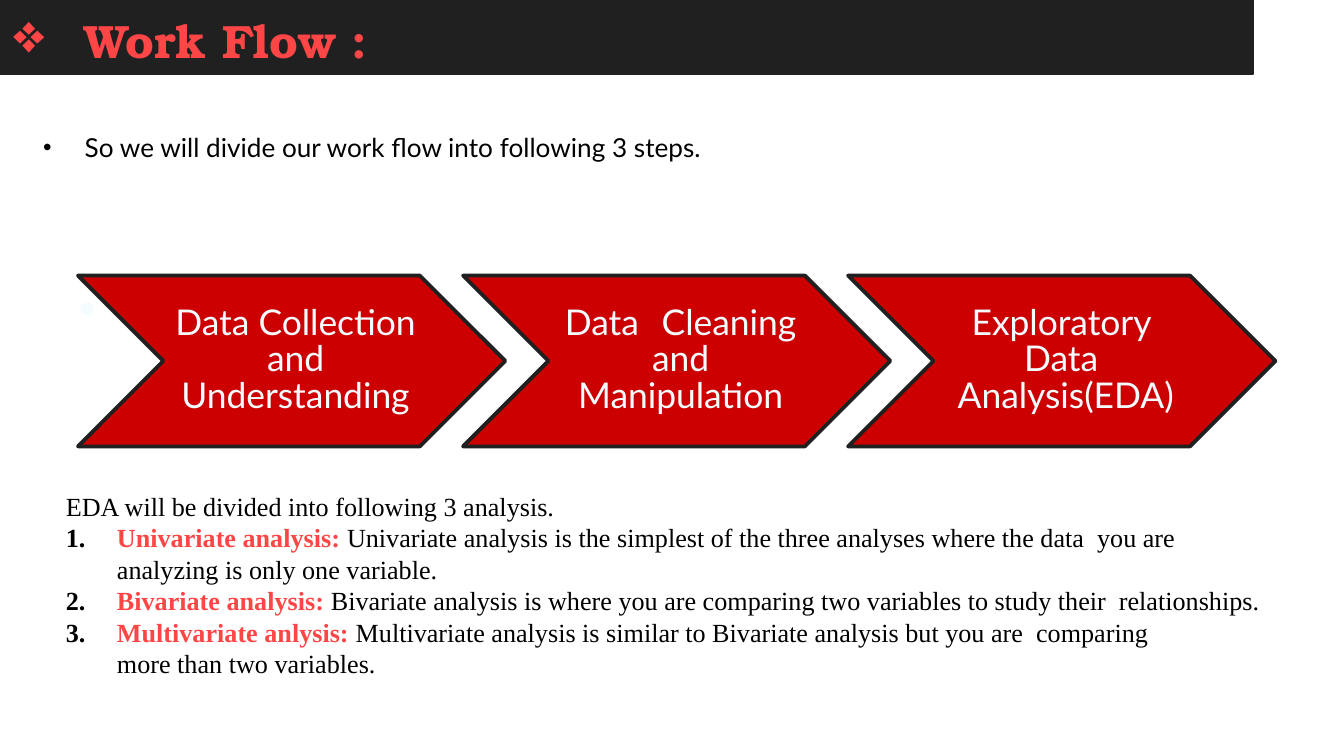
from lxml.etree import SubElement
from pptx import Presentation
from pptx.dml.color import RGBColor
from pptx.enum.shapes import MSO_SHAPE
from pptx.enum.text import MSO_ANCHOR, MSO_AUTO_SIZE, PP_ALIGN
from pptx.oxml.ns import qn
from pptx.util import Inches, Pt

WIDE = Inches(10)
HIGH = WIDE * 9 // 16
HUES = {"dark": "202020", "red": "CC0000", "coral": "FF4646",
        "pale": "F5FCFF", "black": "000000"}
STEPS = ["Data Collection\vand\vUnderstanding",
         "Data\tCleaning\vand\vManipulation",
         "Exploratory \vData \vAnalysis(EDA)"]
KINDS = [
    ("Univariate analysis: ",
     "Univariate analysis is the simplest of the three analyses where the "
     "data  you are\vanalyzing is only one variable."),
    ("Bivariate analysis: ",
     "Bivariate analysis is where you are comparing two variables to study "
     "their  relationships."),
    ("Multivariate anlysis: ",
     "Multivariate analysis is similar to Bivariate analysis but you are"
     "  comparing\vmore than two variables."),
]


def share(x, y, w, h):
    """Turn percents of the slide into left, top, width and height."""
    return [int(part * side / 100)
            for part, side in zip((x, y, w, h), (WIDE, HIGH) * 2)]


def hue(name):
    return RGBColor.from_string(HUES[name])


def style(run, face, size, tint, bold=False):
    font = run.font
    font.name, font.size, font.bold = face, Pt(size), bold
    font.color.rgb = hue(tint)


def frame(shape, top=0.01, left=0, anchor=MSO_ANCHOR.TOP):
    text = shape.text_frame
    text.word_wrap = True
    text.auto_size = MSO_AUTO_SIZE.NONE
    text.vertical_anchor = anchor
    text.margin_left, text.margin_top = Inches(left), Inches(top)
    text.margin_right = text.margin_bottom = 0
    return text


def mark(para, kind, left=0, hang=0, size=None, tint=None, **attrs):
    """Set the indent and the bullet of a paragraph."""
    props = para._p.get_or_add_pPr()
    props.set("marL", str(Inches(left)))
    props.set("indent", str(-Inches(hang)))
    if tint:
        color = SubElement(props, qn("a:buClr"))
        SubElement(color, qn("a:srgbClr"), val=HUES[tint])
    if size:
        SubElement(props, qn("a:buSzPct"), val=str(size * 1000))
    SubElement(props, qn("a:" + kind), **attrs)


def block(slide, kind, x, y, w, h, fill):
    shape = slide.shapes.add_shape(kind, *share(x, y, w, h))
    shape.shadow.inherit = False
    shape.fill.solid()
    shape.fill.fore_color.rgb = hue(fill)
    shape.line.color.rgb = hue("dark")
    shape.line.width = Pt(2)
    return shape


def place(holder, x, y, w, h):
    holder.left, holder.top, holder.width, holder.height = share(x, y, w, h)
    return frame(holder)


def head(slide):
    bar = block(slide, MSO_SHAPE.RECTANGLE, 0, 0, 93.2, 9.7, "dark")
    slide.shapes.element.insert(2, bar.element)
    para = place(slide.shapes.title, 0.9, 1.4, 55.5, 8).paragraphs[0]
    para.text = "Work Flow :"
    para.alignment = PP_ALIGN.LEFT
    para.space_before = Pt(1)
    mark(para, "buChar", 0.54, 0.53, 117, char="❖")
    style(para.runs[0], "TeX Gyre Bonum", 25, "coral", True)


def intro(holder):
    para = place(holder, 0.9, 17.2, 55.5, 5).paragraphs[0]
    para.text = "So we will divide our work flow into following 3 steps."
    para.space_before = Pt(0)
    mark(para, "buChar", 0.54, 0.31, 93, char="•")
    style(para.runs[0], "Lato", 14, "black")


def dot(slide):
    box = slide.shapes.add_textbox(*share(5.9, 38.4, 1.5, 4.6))
    para = frame(box).paragraphs[0]
    para.text = "●"
    para.space_before = Pt(1)
    style(para.runs[0], "Lato", 14, "pale")


def step(slide, col, words):
    arrow = block(slide, MSO_SHAPE.CHEVRON, 5.8 + 28.65 * col, 36.45,
                  31.8, 22.6, "red")
    para = frame(arrow, 0, 0.06, MSO_ANCHOR.MIDDLE).paragraphs[0]
    para.text = words
    para.alignment = PP_ALIGN.CENTER
    para.line_spacing = 0.86
    if "\t" in words:
        tabs = SubElement(para._p.get_or_add_pPr(), qn("a:tabLst"))
        SubElement(tabs, qn("a:tab"), pos=str(Inches(0.72)), algn="l")
    for run in para.runs:
        style(run, "Lato", 19, "pale")


def kinds(holder):
    text = place(holder, 4.8, 64.7, 90.5, 25.4)
    face = "Times New Roman"
    para = text.paragraphs[0]
    para.text = "EDA will be divided into following 3 analysis."
    para.space_before = Pt(1)
    mark(para, "buNone", 0.01)
    style(para.runs[0], face, 14, "black")
    for name, words in KINDS:
        para = text.add_paragraph()
        para.text = name
        para.space_before = Pt(0)
        mark(para, "buAutoNum", 0.39, 0.38, tint="black", type="arabicPeriod")
        style(para.runs[0], face, 14, "coral", True)
        for row, line in enumerate(words.split("\v")):
            if row:
                para.add_line_break()
            run = para.add_run()
            run.text = line
            style(run, face, 14, "black")


def main():
    deck = Presentation()
    deck.slide_width, deck.slide_height = WIDE, HIGH
    slide = deck.slides.add_slide(deck.slide_layouts.get_by_name("Two Content"))
    upper, lower = slide.placeholders[1], slide.placeholders[2]
    head(slide)
    intro(upper)
    dot(slide)
    for col, words in enumerate(STEPS):
        step(slide, col, words)
    kinds(lower)
    deck.save("out.pptx")


if __name__ == "__main__":
    main()
